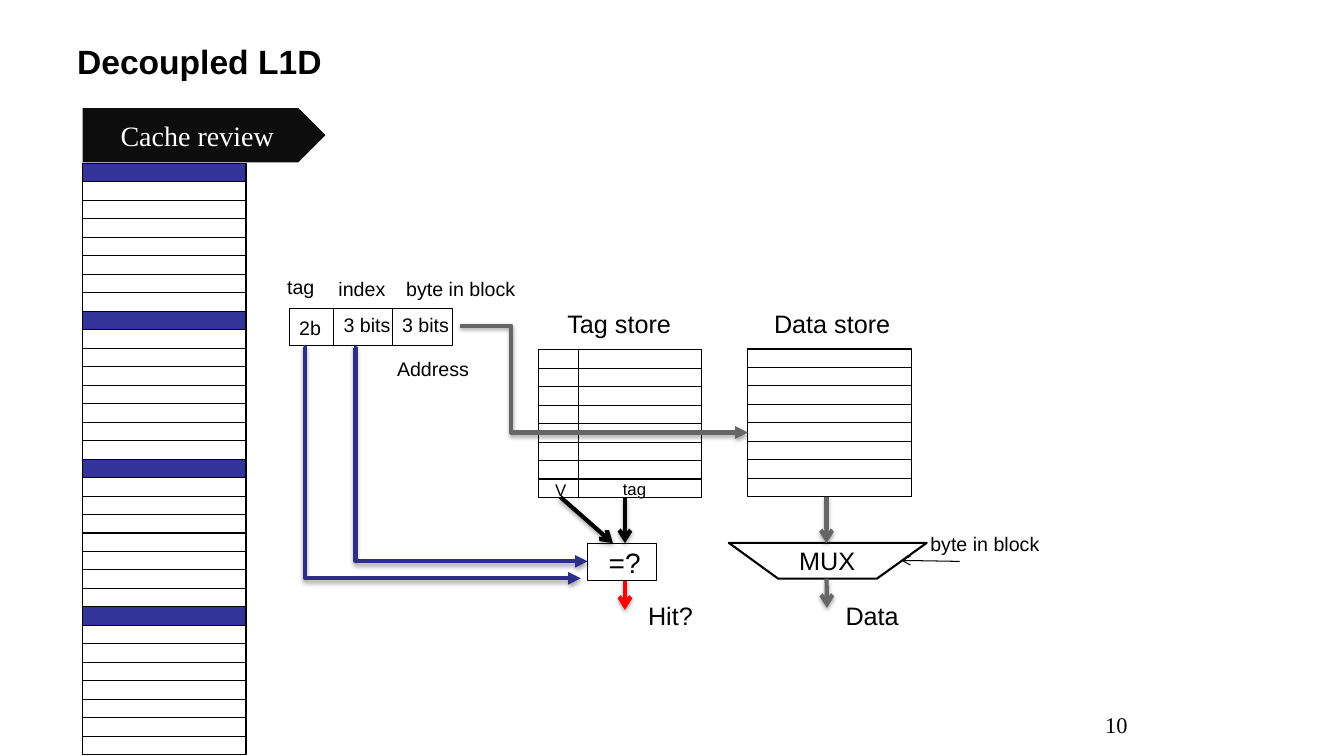
from dataclasses import dataclass
from typing import Optional

from lxml.etree import SubElement
from pptx import Presentation
from pptx.dml.color import RGBColor as Rgb
from pptx.enum.shapes import MSO_CONNECTOR as Link, MSO_SHAPE as Preset
from pptx.enum.text import MSO_ANCHOR as Anchor, MSO_AUTO_SIZE as Fit, PP_ALIGN as Align
from pptx.oxml.ns import qn
from pptx.util import Pt


@dataclass(frozen=True)
class Theme:
    black: str = "000000"
    white: str = "FFFFFF"
    block: str = "333399"
    address: str = "2D2D8A"
    data: str = "666666"
    hit: str = "FF0000"
    banner: str = "0D0D0D"
    sans: str = "Arial"
    serif: str = "Times New Roman"
    title: float = 24
    large: float = 20
    store: float = 18
    number: float = 16
    field: float = 14
    small: float = 12
    thin: float = 0.75
    medium: float = 1.5
    thick: float = 3


THEME = Theme()


@dataclass(frozen=True)
class Box:
    left: float
    top: float
    width: float
    height: float


@dataclass(frozen=True)
class Label:
    text: str
    left: float
    top: float
    width: float
    size: float


@dataclass(frozen=True)
class Stack:
    left: float
    top: float
    rows: int
    filled_every: int = 0


@dataclass(frozen=True)
class Wire:
    start: tuple[float, float]
    end: tuple[float, float]
    color: str = THEME.black
    width: float = THEME.thick
    head: Optional[str] = "arrow"
    bend: Optional[float] = None  # share of the width before the turn


ROW_WIDTH, ROW_HEIGHT = 116.8, 13.2
STACKS = [
    Stack(59, 116.75, 32, filled_every=8),  # main memory
    Stack(384.5, 249.8, 8),                 # tag store
    Stack(534.2, 249.3, 8),                 # data store
]
ADDRESS = Box(206.6, 220.3, 116.6, 26.3)
COMPARATOR = Box(419.8, 388, 49, 26.6)
BANNER = Box(59, 77.2, 173.5, 38.8)
MUX = [(661.9, 387.8), (626.4, 413.3), (555.8, 413.3), (520.6, 387.8)]

LABELS = [
    Label("Tag store", 398.2, 216.7, 89.3, THEME.store),
    Label("Data store", 545.8, 216.7, 98.6, THEME.store),
    Label("Address", 276.5, 251.3, 66.2, THEME.field),
    Label("tag", 198, 193, 33.8, THEME.field),
    Label("index", 234.7, 194.4, 48.2, THEME.field),
    Label("byte in block", 283, 194.4, 92.9, THEME.field),
    Label("3 bits", 280.1, 220.3, 48.2, THEME.field),
    Label("3 bits", 238.3, 220.3, 48.2, THEME.field),
    Label("2b", 206.6, 221.8, 30.2, THEME.field),
    Label("V", 389.5, 339.1, 22.3, THEME.small),
    Label("tag", 437.8, 338.4, 31.7, THEME.small),
    Label("=?", 427.7, 385.9, 37.4, THEME.large),
    Label("MUX", 563.8, 385.9, 54.7, THEME.store),
    Label("byte in block", 657.4, 376.6, 92.9, THEME.field),
    Label("Hit?", 455.8, 425.5, 46.8, THEME.store),
    Label("Data", 596.9, 425.5, 52.6, THEME.store),
]

DIVIDERS = [
    Wire((x, top), (x, bottom), width=THEME.thin, head=None)
    for x, top, bottom in [(280.1, 221, 247), (238.3, 220.3, 247), (413.3, 249.8, 355)]
]
ARROWS = [
    Wire((446.4, 355), (446.4, 388)),
    Wire((400.3, 355), (437.8, 388)),
    Wire((590.4, 355), (590.4, 388), THEME.data),
    Wire((685.4, 401), (643.7, 400.3), width=THEME.thin),
    Wire((446.4, 414.7), (446.4, 435.6), THEME.hit),
    Wire((590.4, 413.3), (590.7, 434.2), THEME.data),
    Wire((252.9, 248.4), (419.8, 401), THEME.address, head="triangle", bend=0.006),
    Wire((217.1, 247.9), (414.9, 413.1), THEME.address, head="triangle", bend=0.004),
    Wire((328.3, 232.6), (534.2, 308.9), THEME.data, head="triangle", bend=0.179),
]


def style_shape(shape, fill: Optional[str], line: Optional[str], width: float = THEME.thin) -> None:
    shape.shadow.inherit = False
    if fill:
        shape.fill.solid()
        shape.fill.fore_color.rgb = Rgb.from_string(fill)
    else:
        shape.fill.background()
    if line:
        shape.line.color.rgb = Rgb.from_string(line)
        shape.line.width = Pt(width)
    else:
        shape.line.fill.background()


def add_box(shapes, preset: Preset, box: Box, fill: Optional[str] = None,
            line: Optional[str] = THEME.black):
    shape = shapes.add_shape(preset, Pt(box.left), Pt(box.top), Pt(box.width), Pt(box.height))
    style_shape(shape, fill, line)
    return shape


def write(shape, text: str, size: float, face: str = THEME.sans, color: str = THEME.black,
          align: Align = Align.LEFT, anchor: Anchor = Anchor.TOP, bold: bool = False,
          wrap: bool = True) -> None:
    frame = shape.text_frame
    frame.word_wrap = wrap
    frame.vertical_anchor = anchor
    if not wrap:
        frame.auto_size = Fit.SHAPE_TO_FIT_TEXT
    para = frame.paragraphs[0]
    para.add_run().text = text
    para.alignment = align
    para.font.name, para.font.size, para.font.bold = face, Pt(size), bold
    para.font.color.rgb = Rgb.from_string(color)


def add_text_box(page, box: Box):
    return page.shapes.add_textbox(Pt(box.left), Pt(box.top), Pt(box.width), Pt(box.height))


def add_label(page, label: Label) -> None:
    height = label.size * 1.2 + 7.4
    box = add_text_box(page, Box(label.left, label.top, label.width, height))
    write(box, label.text, label.size, wrap=False)


def add_stack(page, stack: Stack) -> None:
    group = page.shapes.add_group_shape()
    for row in range(stack.rows):
        filled = stack.filled_every and row % stack.filled_every == 0
        box = Box(stack.left, stack.top + row * ROW_HEIGHT, ROW_WIDTH, ROW_HEIGHT)
        add_box(group.shapes, Preset.RECTANGLE, box, THEME.block if filled else None)


def add_wire(page, wire: Wire) -> None:
    kind = Link.STRAIGHT if wire.bend is None else Link.ELBOW
    connector = page.shapes.add_connector(kind, *map(Pt, wire.start + wire.end))
    connector.line.color.rgb = Rgb.from_string(wire.color)
    connector.line.width = Pt(wire.width)
    properties = connector.element.spPr
    if wire.head:
        SubElement(properties.find(qn("a:ln")), qn("a:tailEnd"), type=wire.head)
    if wire.bend is not None:
        guides = properties.find(".//" + qn("a:avLst"))
        SubElement(guides, qn("a:gd"), name="adj1", fmla=f"val {round(wire.bend * 100000)}")
    effects = SubElement(properties, qn("a:effectLst"))
    if wire.width == THEME.thick:
        shadow = SubElement(effects, qn("a:outerShdw"), blurRad=str(Pt(3.1)), dist=str(Pt(1.8)),
                            dir="5400000", rotWithShape="0")
        tint = SubElement(shadow, qn("a:srgbClr"), val=THEME.black)
        SubElement(tint, qn("a:alpha"), val="35000")


def main() -> None:
    deck = Presentation()
    deck.slide_width, deck.slide_height = Pt(960), Pt(540)
    page = deck.slides.add_slide(deck.slide_layouts[6])

    # Title and page number
    write(add_text_box(page, Box(48, 21.6, 864, 44)), "Decoupled L1D", THEME.title,
          anchor=Anchor.MIDDLE, bold=True)
    write(add_text_box(page, Box(644.4, 494.6, 168, 36)), "10", THEME.number, THEME.serif,
          align=Align.RIGHT, anchor=Anchor.BOTTOM)

    # Memory, stores, address and comparator
    for stack in STACKS:
        add_stack(page, stack)
    for box in (ADDRESS, COMPARATOR):
        add_box(page.shapes, Preset.RECTANGLE, box)

    # Multiplexer
    corners = [(Pt(x), Pt(y)) for x, y in MUX]
    outline = page.shapes.build_freeform(*corners[0])
    outline.add_line_segments(corners[1:], close=True)
    style_shape(outline.convert_to_shape(), None, THEME.black, THEME.medium)

    # Labels and wiring
    for label in LABELS:
        add_label(page, label)
    for wire in DIVIDERS + ARROWS:
        add_wire(page, wire)

    # Section banner
    banner = add_box(page.shapes, Preset.PENTAGON, BANNER, THEME.banner, None)
    write(banner, "Cache review", THEME.large, THEME.serif, THEME.white, Align.CENTER, Anchor.MIDDLE)

    deck.save("out.pptx")


if __name__ == "__main__":
    main()
